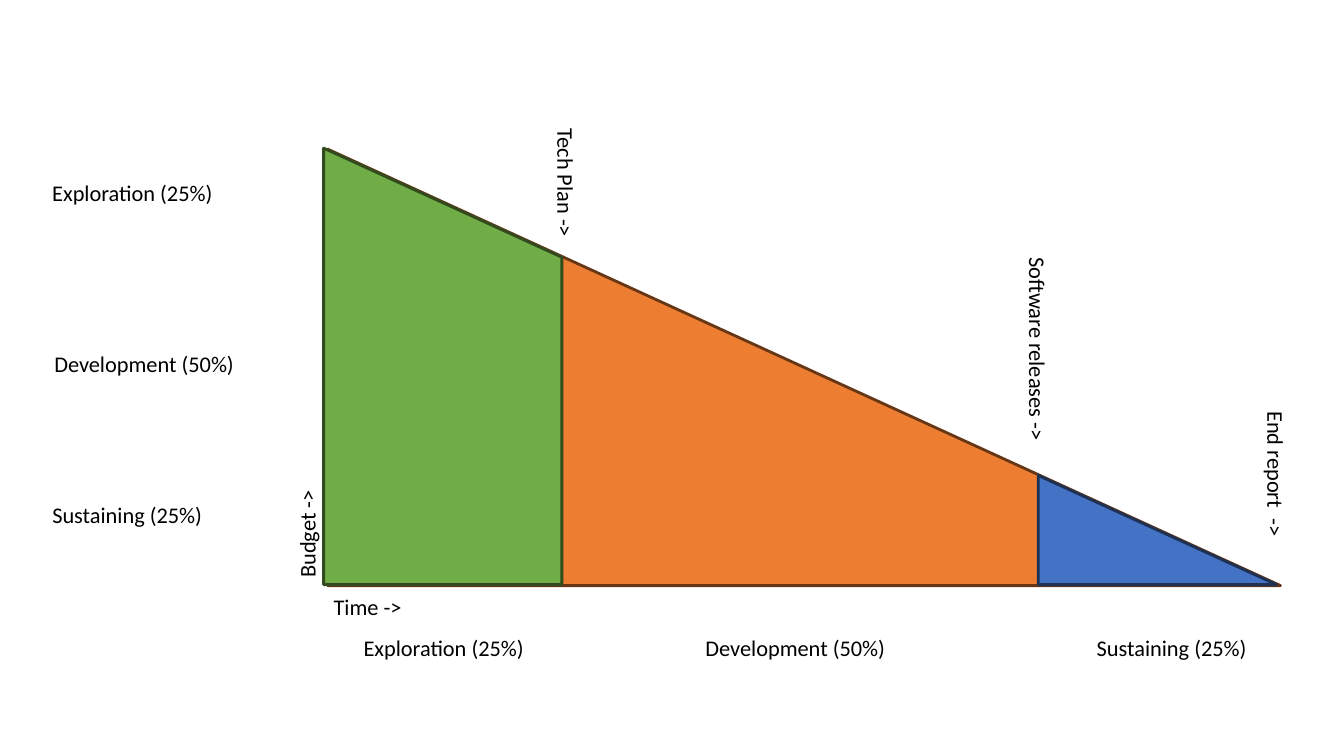
from pptx import Presentation
from pptx.dml.color import RGBColor
from pptx.enum.shapes import MSO_SHAPE
from pptx.enum.text import MSO_AUTO_SIZE, PP_ALIGN
from pptx.util import Inches, Pt

COLORS = {
    "text": "000000",
    "exploration": "70AD47", "exploration_line": "314B1F",
    "development": "ED7D31", "development_line": "673615",
    "sustaining": "4472C4", "sustaining_line": "1D3155",
}
FONT = {"name": "Calibri", "size": Pt(16)}
LABEL_H = 0.36
PHASES = ("Exploration (25%)", "Development (50%)", "Sustaining (25%)")


def rgb(name):
    """Return the named colour."""
    return RGBColor.from_string(COLORS[name])


def add_label(s, text, cx, cy, w, rotation=0, align=PP_ALIGN.LEFT, wrap=True):
    """Place one line of text around a centre point, in inches."""
    tb = s.shapes.add_textbox(Inches(cx - w / 2), Inches(cy - LABEL_H / 2),
                              Inches(w), Inches(LABEL_H))
    tb.rotation = rotation
    tf = tb.text_frame
    tf.word_wrap = wrap
    tf.auto_size = MSO_AUTO_SIZE.SHAPE_TO_FIT_TEXT
    p = tf.paragraphs[0]
    p.alignment = align
    r = p.add_run()
    r.text = text
    for key, value in FONT.items():
        setattr(r.font, key, value)
    r.font.color.rgb = rgb("text")


def paint(sp, phase):
    """Give a phase area its fill and outline."""
    sp.shadow.inherit = False
    sp.fill.solid()
    sp.fill.fore_color.rgb = rgb(phase)
    sp.line.color.rgb = rgb(phase + "_line")
    sp.line.width = Pt(2)


def add_triangle(s, phase, x, y, w, h):
    """Draw a right triangle for a phase."""
    sp = s.shapes.add_shape(MSO_SHAPE.RIGHT_TRIANGLE,
                            Inches(x), Inches(y), Inches(w), Inches(h))
    paint(sp, phase)


def add_funnel(s, x, y, w, h):
    """Draw the budget triangle, split at a quarter and three quarters."""
    add_triangle(s, "development", x + 0.04, y + 0.01, w, h)
    corners = [(x + w / 4, y + h / 4), (x, y), (x, y + h), (x + w / 4, y + h)]
    points = [(Inches(px), Inches(py)) for px, py in corners]
    fb = s.shapes.build_freeform(*points[0])
    fb.add_line_segments(points[1:], close=True)
    paint(fb.convert_to_shape(), "exploration")
    add_triangle(s, "sustaining", x + w * 0.75, y + h * 0.75, w / 4, h / 4)


def add_axes(s, x, y, w, h):
    """Name both axes and the phases below the time axis."""
    add_label(s, "Time ->", x + 0.51, y + h + 0.22, 1.02)
    add_label(s, "Budget ->", x - 0.17, y + h - 0.66, 1.38, rotation=270)
    columns = ((0.126, 1.86, True), (0.495, 1.98, False), (0.89, 1.69, False))
    for text, (share, width, wrap) in zip(PHASES, columns):
        add_label(s, text, x + w * share, y + h + 0.62, width,
                  align=PP_ALIGN.CENTER, wrap=wrap)


def add_milestones(s, x, y, w, h):
    """Write the milestones downwards at the end of each phase."""
    milestones = (("Tech Plan ->", 0.255, 0.092, 1.38),
                  ("Software releases ->", 0.75, 0.485, 2.23),
                  ("End report  ->", 1, 0.75, 1.47))
    for text, across, down, length in milestones:
        add_label(s, text, x + w * across, y + h * down, length, rotation=90)


def add_budget_shares(s, x, y, w, h):
    """List the budget share of each phase beside the funnel."""
    rows = ((0, 0.102, 1.86, True), (0.02, 0.492, 1.98, False), (0, 0.838, w, True))
    for text, (indent, down, width, wrap) in zip(PHASES, rows):
        add_label(s, text, x + indent + width / 2, y + h * down, width, wrap=wrap)


def main():
    """Build the slide and save it."""
    prs = Presentation()
    prs.slide_width, prs.slide_height = Inches(13.33), Inches(7.5)
    s = prs.slides.add_slide(prs.slide_layouts[6])
    funnel = (3.21, 1.47, 9.45, 4.33)
    for draw in (add_funnel, add_axes, add_milestones):
        draw(s, *funnel)
    add_budget_shares(s, 0.42, 1.47, 2.42, 4.33)
    prs.save("out.pptx")


if __name__ == "__main__":
    main()
